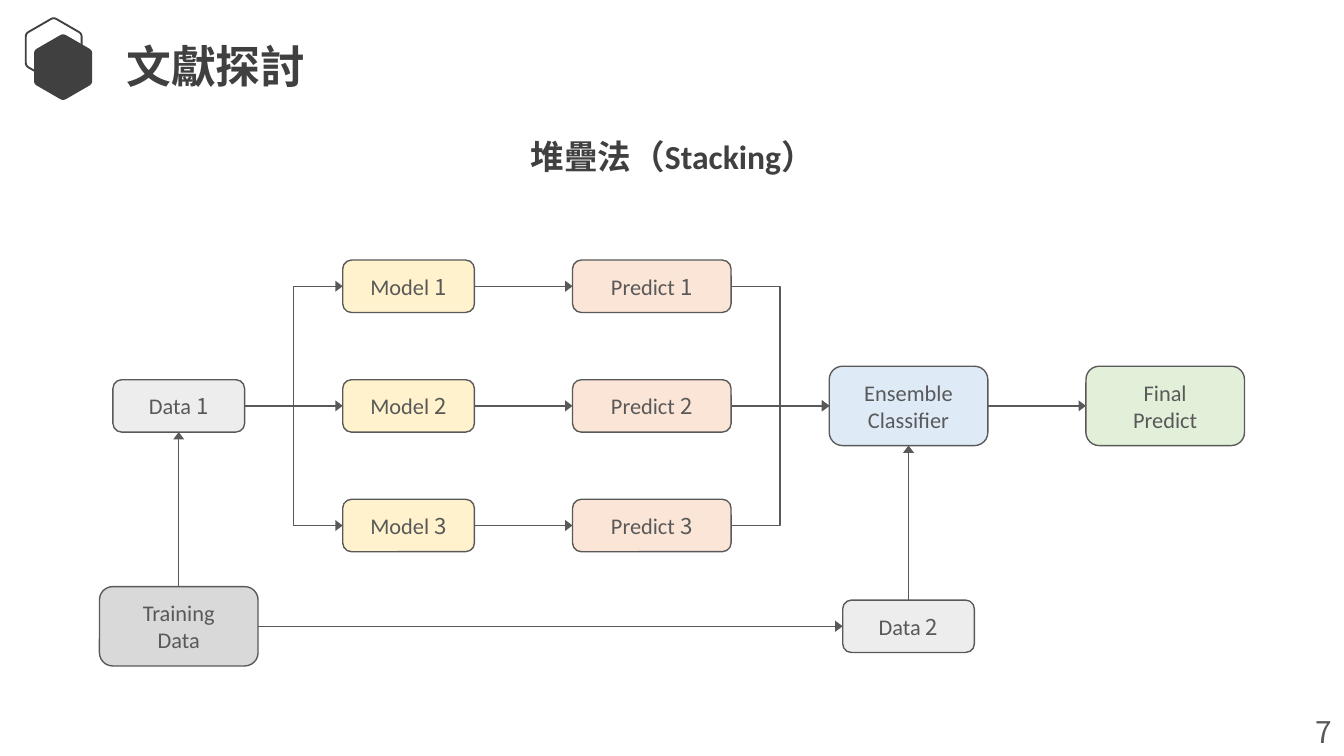
import math
from typing import NamedTuple

import pptx
import pptx.dml.color
import pptx.enum.shapes
import pptx.enum.text
import pptx.oxml
import pptx.oxml.ns
import pptx.util

Inches, Pt = pptx.util.Inches, pptx.util.Pt
RGBColor = pptx.dml.color.RGBColor
Align, Anchor = pptx.enum.text.PP_ALIGN, pptx.enum.text.MSO_ANCHOR
Fit = pptx.enum.text.MSO_AUTO_SIZE
Wire = pptx.enum.shapes.MSO_CONNECTOR
Preset = pptx.enum.shapes.MSO_SHAPE
qn = pptx.oxml.ns.qn

DARK = RGBColor(0x40, 0x40, 0x40)
GREY = RGBColor(0x59, 0x59, 0x59)
PALE = RGBColor(0xED, 0xED, 0xED)
SILVER = RGBColor(0xD9, 0xD9, 0xD9)
YELLOW = RGBColor(0xFF, 0xF2, 0xCC)
PEACH = RGBColor(0xFB, 0xE5, 0xD6)
BLUE = RGBColor(0xDE, 0xEB, 0xF7)
GREEN = RGBColor(0xE2, 0xF0, 0xD9)
LATIN, CJK = "Calibri", "Noto Sans CJK JP"

ROWS = [2.13, 3.02, 3.91]
MID, LOW = ROWS[1], 4.66
SMALL, WIDE, LARGE = (0.98, 0.39), (1.18, 0.39), (1.18, 0.59)
TOP, LEFT, BOTTOM, RIGHT = range(4)
HEAD = {"type": "triangle", "w": "med", "len": "sm"}


class Box(NamedTuple):
    text: str
    num: str
    x: float
    y: float
    size: tuple[float, float]
    fill: RGBColor


class Link(NamedTuple):
    start: str
    end: str
    exit: int = RIGHT
    entry: int = LEFT


class Hexagon(NamedTuple):
    x: float
    y: float
    radius: float
    solid: bool


TRAIN, ENSEMBLE, FINAL = "Training\vData", "Ensemble\vClassifier", "Final\vPredict"
BOXES = [
    Box("Data ", "1", 1.33, MID, SMALL, PALE),
    *(Box("Model ", str(i), 3.04, y, SMALL, YELLOW) for i, y in enumerate(ROWS, 1)),
    *(Box("Predict ", str(i), 4.85, y, WIDE, PEACH) for i, y in enumerate(ROWS, 1)),
    Box(ENSEMBLE, "", 6.76, MID, LARGE, BLUE),
    Box(FINAL, "", 8.67, MID, LARGE, GREEN),
    Box(TRAIN, "", 1.33, LOW, LARGE, SILVER),
    Box("Data ", "2", 6.76, LOW, SMALL, PALE),
]
LINKS = [
    *(Link("Data 1", f"Model {i}") for i in (1, 2, 3)),
    *(Link(f"Model {i}", f"Predict {i}") for i in (1, 2, 3)),
    *(Link(f"Predict {i}", ENSEMBLE) for i in (1, 2, 3)),
    Link(ENSEMBLE, FINAL),
    Link(TRAIN, "Data 1", TOP, BOTTOM),
    Link(TRAIN, "Data 2"),
    Link("Data 2", ENSEMBLE, TOP, BOTTOM),
]
HEXES = [Hexagon(0.4, 0.37, 0.24, False), Hexagon(0.47, 0.5, 0.25, True)]


def style(target, values: dict) -> None:
    for name, value in values.items():
        setattr(target, name, value)


def write(frame, text: str, face: str, size: float, color: RGBColor,
          bold: bool = False, align=Align.CENTER, num: str = "") -> None:
    """Fill a frame with one paragraph; num follows in the CJK face."""
    para = frame.paragraphs[0]
    para.text = text
    para.alignment = align
    if num:
        para.add_run().text = num
    for run in para.runs:
        name = CJK if num and run.text == num else face
        style(run.font, {"name": name, "size": Pt(size), "bold": bold})
        run.font.color.rgb = color
        east = pptx.oxml.parse_xml(
            '<a:ea xmlns:a="http://schemas.openxmlformats.org/drawingml/2006/main"'
            f' typeface="{CJK}"/>')
        run.font._element.find(qn("a:latin")).addnext(east)


def outline(shape, color: RGBColor, width: float) -> None:
    shape.line.color.rgb = color
    shape.line.width = Pt(width)


def draw_hex(shapes, item: Hexagon) -> None:
    """Draw a pointed-top hexagon with softened corners."""
    tips = [(item.x + item.radius * math.sin(k * math.pi / 3),
             item.y - item.radius * math.cos(k * math.pi / 3)) for k in range(6)]
    dots = []
    for k, tip in enumerate(tips):
        a, b = ([c + 0.1 * (d - c) for c, d in zip(tip, other)]
                for other in (tips[k - 1], tips[(k + 1) % 6]))
        for t in (0, 0.25, 0.5, 0.75, 1):
            dots.append(tuple(int(Inches((1 - t) ** 2 * p + 2 * t * (1 - t) * q + t * t * r))
                              for p, q, r in zip(a, tip, b)))
    pen = shapes.build_freeform(*dots[0])
    pen.add_line_segments(dots[1:])
    shape = pen.convert_to_shape()
    shape.shadow.inherit = False
    if item.solid:
        shape.fill.solid()
        shape.fill.fore_color.rgb = DARK
        shape.line.fill.background()
    else:
        shape.fill.background()
        outline(shape, DARK, 1)


def draw_box(shapes, box: Box):
    w, h = box.size
    shape = shapes.add_shape(Preset.ROUNDED_RECTANGLE, Inches(box.x - w / 2),
                             Inches(box.y - h / 2), Inches(w), Inches(h))
    shape.shadow.inherit = False
    shape.fill.solid()
    shape.fill.fore_color.rgb = box.fill
    outline(shape, GREY, 0.75)
    style(shape.text_frame, {"vertical_anchor": Anchor.MIDDLE, "word_wrap": True})
    write(shape.text_frame, box.text, LATIN, 12, GREY, num=box.num)
    return shape


def draw_link(shapes, link: Link, boxes: dict, nodes: dict) -> None:
    a, b = boxes[link.start], boxes[link.end]
    kind = Wire.STRAIGHT if a.x == b.x or a.y == b.y else Wire.ELBOW
    wire = shapes.add_connector(kind, 0, 0, 0, 0)
    wire.begin_connect(nodes[link.start], link.exit)
    wire.end_connect(nodes[link.end], link.entry)
    outline(wire, GREY, 0.75)
    props = wire._element.spPr
    line = props.find(qn("a:ln"))
    line.append(line.makeelement(qn("a:tailEnd"), HEAD))
    props.append(props.makeelement(qn("a:effectLst"), {}))


def main() -> None:
    deck = pptx.Presentation()
    wide = Inches(10)
    style(deck, {"slide_width": wide, "slide_height": wide * 9 // 16})
    slide = deck.slides.add_slide(deck.slide_layouts[5])
    shapes = slide.shapes
    for item in HEXES:
        draw_hex(shapes, item)

    title = shapes.title
    style(title, {"left": Inches(0.87), "top": Inches(0.25),
                  "width": Inches(1.77), "height": Inches(0.48)})
    style(title.text_frame, {
        "margin_left": Inches(0.07), "margin_right": Inches(0.07),
        "margin_top": Inches(0.04), "margin_bottom": Inches(0.04),
        "vertical_anchor": Anchor.TOP, "auto_size": Fit.NONE, "word_wrap": True})
    write(title.text_frame, "文獻探討", CJK, 24, DARK, True, Align.LEFT)

    head = shapes.add_textbox(Inches(2.07), Inches(0.96), Inches(5.87), Inches(0.4))
    style(head.text_frame, {"vertical_anchor": Anchor.MIDDLE, "word_wrap": True})
    write(head.text_frame, "堆疊法（Stacking）", LATIN, 18, DARK, True)

    page = shapes.add_textbox(Inches(9.69), Inches(5.26), Inches(0.31), Inches(0.37))
    page.text_frame.word_wrap = False
    write(page.text_frame, "7", CJK, 16, GREY, align=Align.LEFT)

    boxes = {box.text + box.num: box for box in BOXES}
    nodes = {key: draw_box(shapes, box) for key, box in boxes.items()}
    for link in LINKS:
        draw_link(shapes, link, boxes, nodes)
    deck.save("out.pptx")


if __name__ == "__main__":
    main()
